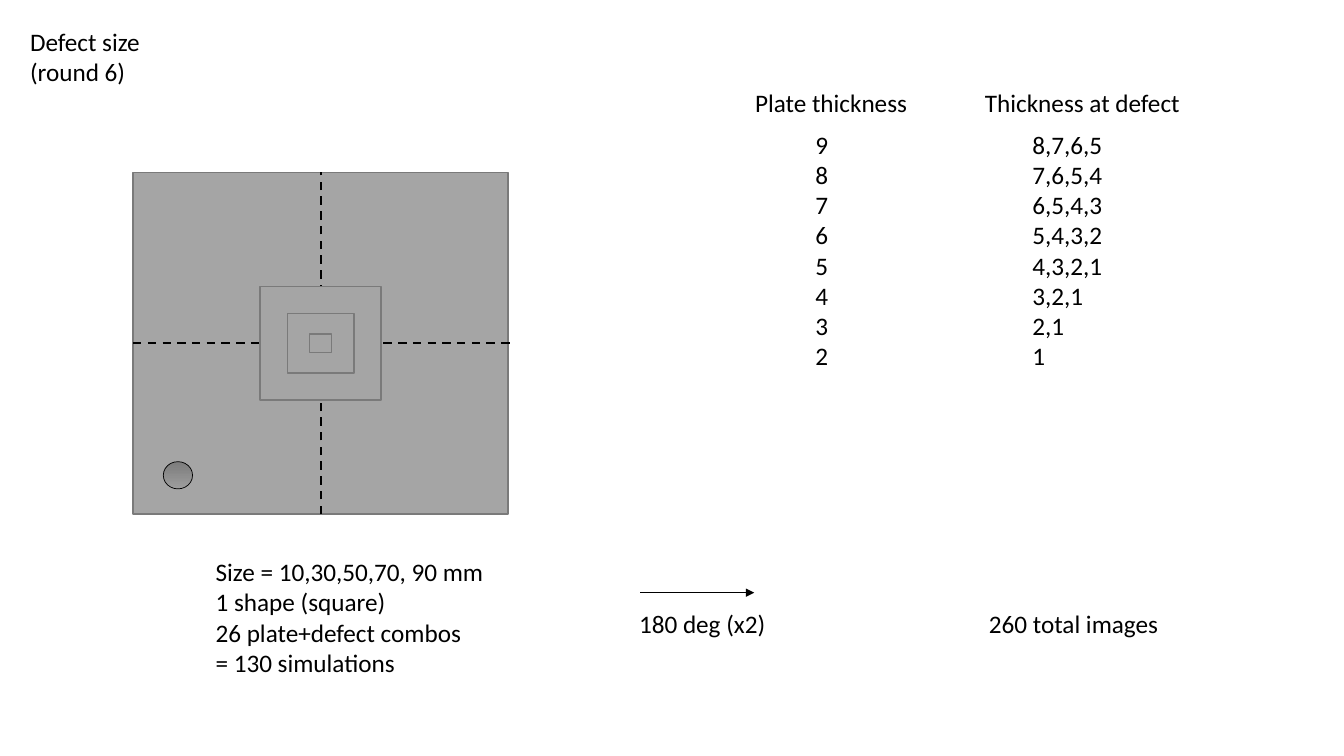
from lxml import etree
from pptx import Presentation
from pptx.dml.color import RGBColor
from pptx.enum.dml import MSO_LINE
from pptx.enum.shapes import MSO_CONNECTOR, MSO_SHAPE
from pptx.oxml.ns import qn
from pptx.util import Inches, Pt

FONT = "Calibri"
COLORS = {
    "ink": "000000",
    "plate": "A5A5A5",
    "edge": "7A7A7A",
    "hole_light": "9D9D9D",
    "hole_dark": "7C7C7C",
}
THICKNESSES = {
    "9": "8,7,6,5",
    "8": "7,6,5,4",
    "7": "6,5,4,3",
    "6": "5,4,3,2",
    "5": "4,3,2,1",
    "4": "3,2,1",
    "3": "2,1",
    "2": "1",
}


def color(name):
    return RGBColor.from_string(COLORS[name])


def add_text(slide, lines, left, top, width, height):
    box = slide.shapes.add_textbox(Inches(left), Inches(top), Inches(width), Inches(height))
    frame = box.text_frame
    frame.word_wrap = True
    frame.text = "\n".join(lines)
    for paragraph in frame.paragraphs:
        font = paragraph.runs[0].font
        font.name, font.size = FONT, Pt(18)
        font.color.rgb = color("ink")


def add_outlined(slide, preset, left, top, width, height, edge="edge", weight=1):
    """Add a plate-coloured shape turned by half a turn."""
    shape = slide.shapes.add_shape(
        preset, Inches(left), Inches(top), Inches(width), Inches(height))
    shape.rotation = 180
    shape.shadow.inherit = False
    shape.fill.solid()
    shape.fill.fore_color.rgb = color("plate")
    shape.line.color.rgb = color(edge)
    shape.line.width = Pt(weight)
    return shape


def add_line(slide, x1, y1, x2, y2, weight):
    line = slide.shapes.add_connector(
        MSO_CONNECTOR.STRAIGHT, Inches(x1), Inches(y1), Inches(x2), Inches(y2))
    line.line.color.rgb = color("ink")
    line.line.width = Pt(weight)
    etree.SubElement(line._element.spPr, qn("a:effectLst"))
    return line


def draw_plate(slide, left, top, width, height):
    """Draw the plate, its dashed axes, the nested defects and the corner hole."""
    center_x, center_y = left + width / 2, top + height / 2
    add_outlined(slide, MSO_SHAPE.RECTANGLE, left, top, width, height)
    axes = (
        (center_x, top + height, center_x, top),
        (left, center_y, left + width + 0.06, center_y),
    )
    for axis in axes:
        add_line(slide, *axis, 1.5).line.dash_style = MSO_LINE.DASH
    for defect_width, defect_height in ((1.2, 1.13), (0.66, 0.59), (0.22, 0.18)):
        add_outlined(slide, MSO_SHAPE.RECTANGLE,
                     center_x - defect_width / 2, center_y - defect_height / 2,
                     defect_width, defect_height)
    hole = add_outlined(slide, MSO_SHAPE.OVAL, left + 0.3, top + 2.87, 0.29, 0.27, "ink", 0.5)
    hole.fill.gradient()
    hole.fill.gradient_angle = 270
    for stop, name in zip(hole.fill.gradient_stops, ("hole_light", "hole_dark")):
        stop.color.rgb = color(name)


def draw_thickness_lists(slide, left, top):
    list_top = top + 0.41
    add_text(slide, ["Plate thickness"], left, top, 1.82, 0.4)
    add_text(slide, THICKNESSES.keys(), left + 0.6, list_top, 0.43, 2.52)
    add_text(slide, ["Thickness at defect"], left + 2.28, top, 2.24, 0.4)
    add_text(slide, THICKNESSES.values(), left + 2.75, list_top, 1.69, 2.52)


def draw_image_count(slide, left, top):
    """Draw the step from simulations to the total number of images."""
    add_text(slide, ["Size = 10,30,50,70, 90 mm", "1 shape (square)",
                     "26 plate+defect combos", "= 130 simulations"],
             left, top, 2.94, 1.31)
    arrow_y = top + 0.41
    arrow = add_line(slide, left + 4.31, arrow_y, left + 5.44, arrow_y, 0.5)
    etree.SubElement(arrow.line._get_or_add_ln(), qn("a:tailEnd"), type="triangle")
    add_text(slide, ["180 deg (x2)"], left + 4.2, top + 0.52, 1.5, 0.4)
    add_text(slide, ["260 total images"], left + 7.67, top + 0.52, 1.98, 0.4)


def main():
    presentation = Presentation()
    presentation.slide_width = Inches(13.33)
    presentation.slide_height = Inches(7.5)
    slide = presentation.slides.add_slide(presentation.slide_layouts[6])
    add_text(slide, ["Defect size", "(round 6)"], 0.2, 0.21, 2.89, 0.71)
    draw_plate(slide, 1.32, 1.71, 3.72, 3.39)
    draw_thickness_lists(slide, 7.39, 0.82)
    draw_image_count(slide, 2.04, 5.47)
    presentation.save("out.pptx")


if __name__ == "__main__":
    main()
